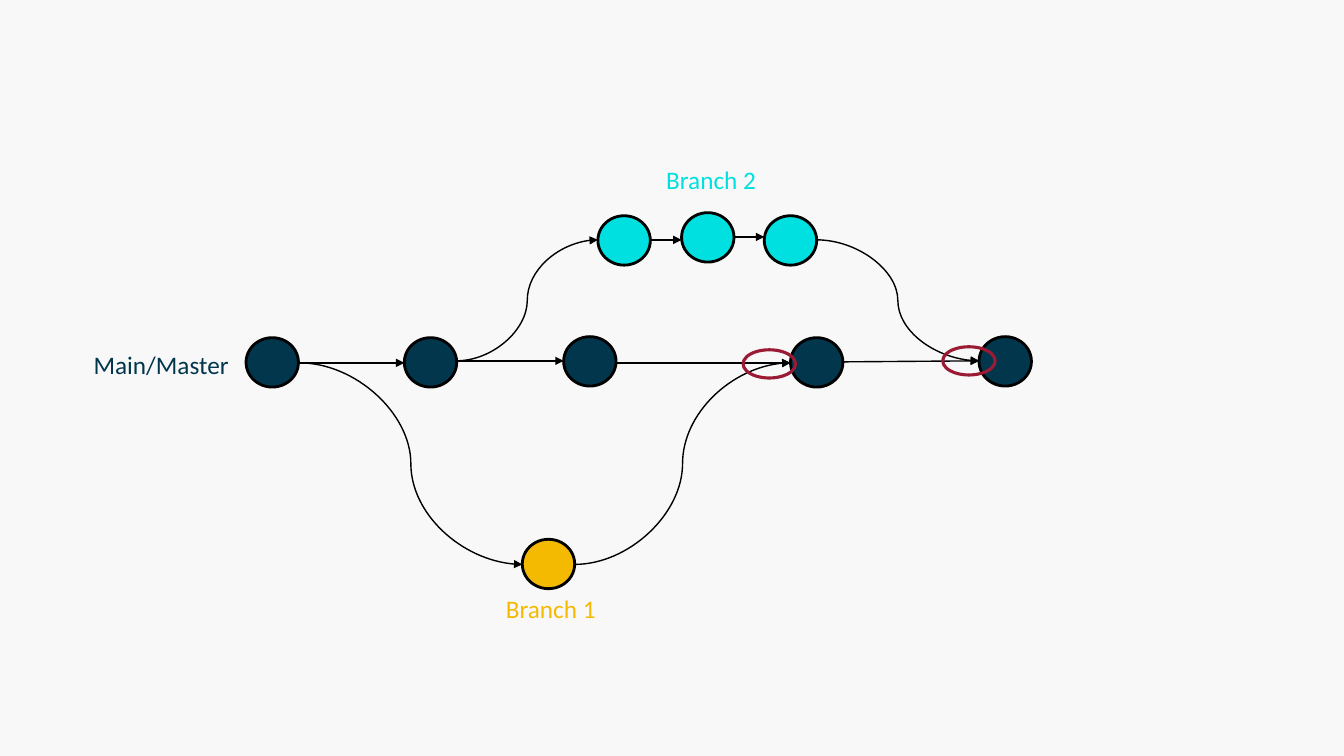
import pptx
import pptx.util
import pptx.dml.color
import pptx.enum.shapes
import pptx.enum.text
import pptx.oxml.ns
from lxml import etree
from pptx.util import Inches

COLORS = {
    "back": "F8F8F8",
    "main": "01364C",
    "one": "F4BA02",
    "two": "00E0E0",
    "line": "000000",
    "ring": "9B1B34",
}
NODES = {
    "main": [(2.44, 3.35), (4.01, 3.35), (5.59, 3.34), (7.84, 3.35), (9.71, 3.34)],
    "two": [(5.93, 2.14), (6.76, 2.11), (7.58, 2.14)],
    "one": [(5.18, 5.35)],
}
STEPS = [
    (2.96, 3.6, 4.01, 3.6),
    (4.53, 3.58, 5.59, 3.58),
    (6.12, 3.6, 7.84, 3.6),
    (8.36, 3.59, 9.71, 3.58),
    (6.45, 2.38, 6.76, 2.38),
    (7.27, 2.35, 7.58, 2.35),
]
CURVES = [
    (4.53, 3.58, 5.93, 2.38),
    (8.1, 2.38, 9.71, 3.58),
    (2.97, 3.6, 5.18, 5.6),
    (5.7, 5.6, 7.84, 3.6),
]
LABELS = [
    ("Main/Master", 0.83, 3.42, 1.55, "main"),
    ("Branch 2", 6.51, 1.58, 1.33, "two"),
    ("Branch 1", 4.92, 5.84, 1.33, "one"),
]
RINGS = [(7.37, 3.47), (9.35, 3.44)]


def color(name):
    """Return the named colour as an RGB value."""
    return pptx.dml.color.RGBColor.from_string(COLORS[name])


def add_oval(slide, left, top, high, line, width, fill=None):
    """Draw an outlined oval, hollow unless a fill is named."""
    oval = slide.shapes.add_shape(
        pptx.enum.shapes.MSO_SHAPE.OVAL,
        Inches(left), Inches(top), Inches(0.52), Inches(high))
    oval.shadow.inherit = False
    if fill:
        oval.fill.solid()
        oval.fill.fore_color.rgb = color(fill)
    else:
        oval.fill.background()
    oval.line.color.rgb = color(line)
    oval.line.width = pptx.util.Pt(width)


def add_arrow(slide, kind, ends):
    """Draw a connector with a triangle head at its end."""
    arrow = slide.shapes.add_connector(kind, *map(Inches, ends))
    arrow.line.color.rgb = color("line")
    arrow.line.width = pptx.util.Pt(1)
    qn = pptx.oxml.ns.qn
    props = arrow._element.spPr
    etree.SubElement(props.find(qn("a:ln")), qn("a:tailEnd"), type="triangle")
    etree.SubElement(props, qn("a:effectLst"))


def add_text(slide, text, left, top, width, tint, size=18, font="Calibri"):
    """Place a one-line label."""
    box = slide.shapes.add_textbox(
        Inches(left), Inches(top), Inches(width), Inches(0.4))
    frame = box.text_frame
    frame.word_wrap = True
    frame.auto_size = pptx.enum.text.MSO_AUTO_SIZE.SHAPE_TO_FIT_TEXT
    run = frame.paragraphs[0].add_run()
    run.text = text
    run.font.size = pptx.util.Pt(size)
    run.font.name = font
    run.font.color.rgb = color(tint)


def main():
    """Build the branch diagram and save it."""
    deck = pptx.Presentation()
    deck.slide_width, deck.slide_height = Inches(13.33), Inches(7.5)
    slide = deck.slides.add_slide(deck.slide_layouts[6])
    slide.background.fill.solid()
    slide.background.fill.fore_color.rgb = color("back")
    for branch, spots in NODES.items():
        for left, top in spots:
            add_oval(slide, left, top, 0.49, "line", 2, fill=branch)
    kinds = pptx.enum.shapes.MSO_CONNECTOR
    for kind, links in ((kinds.STRAIGHT, STEPS), (kinds.CURVE, CURVES)):
        for ends in links:
            add_arrow(slide, kind, ends)
    for text, left, top, width, tint in LABELS:
        add_text(slide, text, left, top, width, tint=tint)
    for left, top in RINGS:
        add_oval(slide, left, top, 0.28, "ring", 2.25)
    deck.save("out.pptx")


if __name__ == "__main__":
    main()
